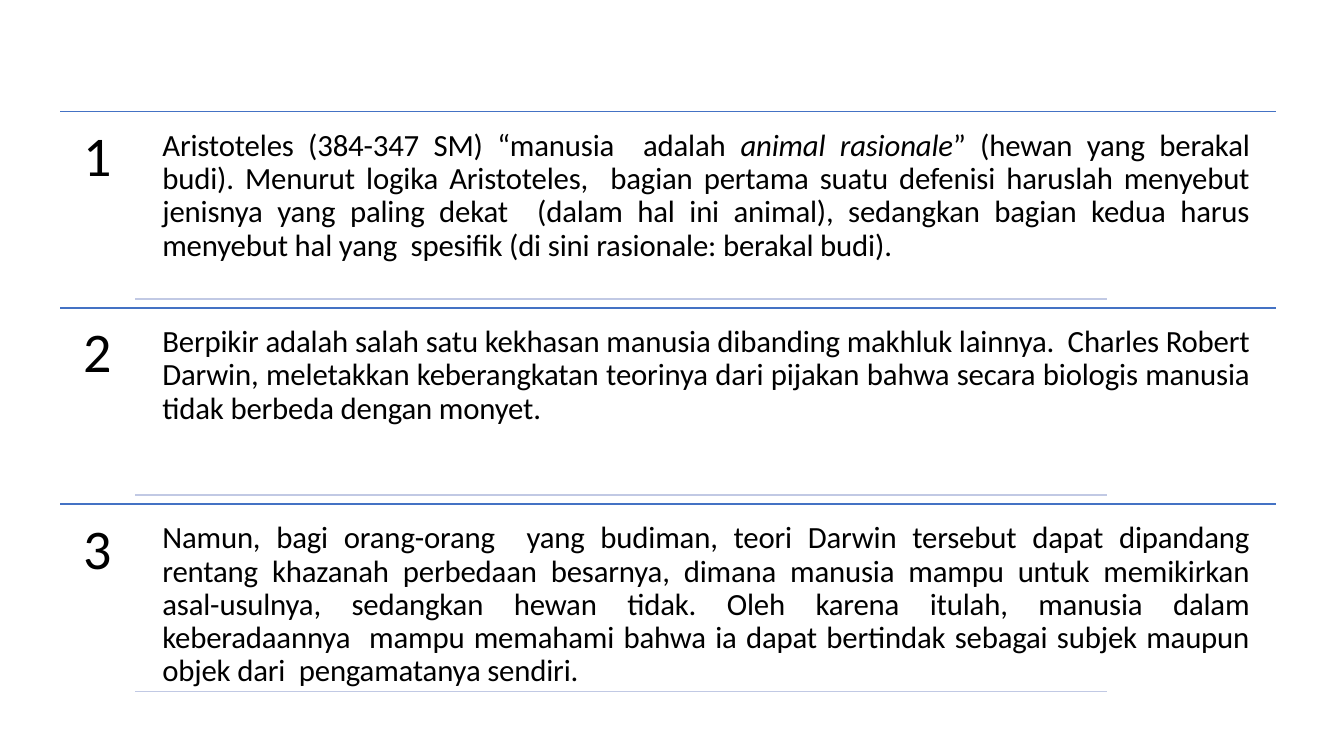
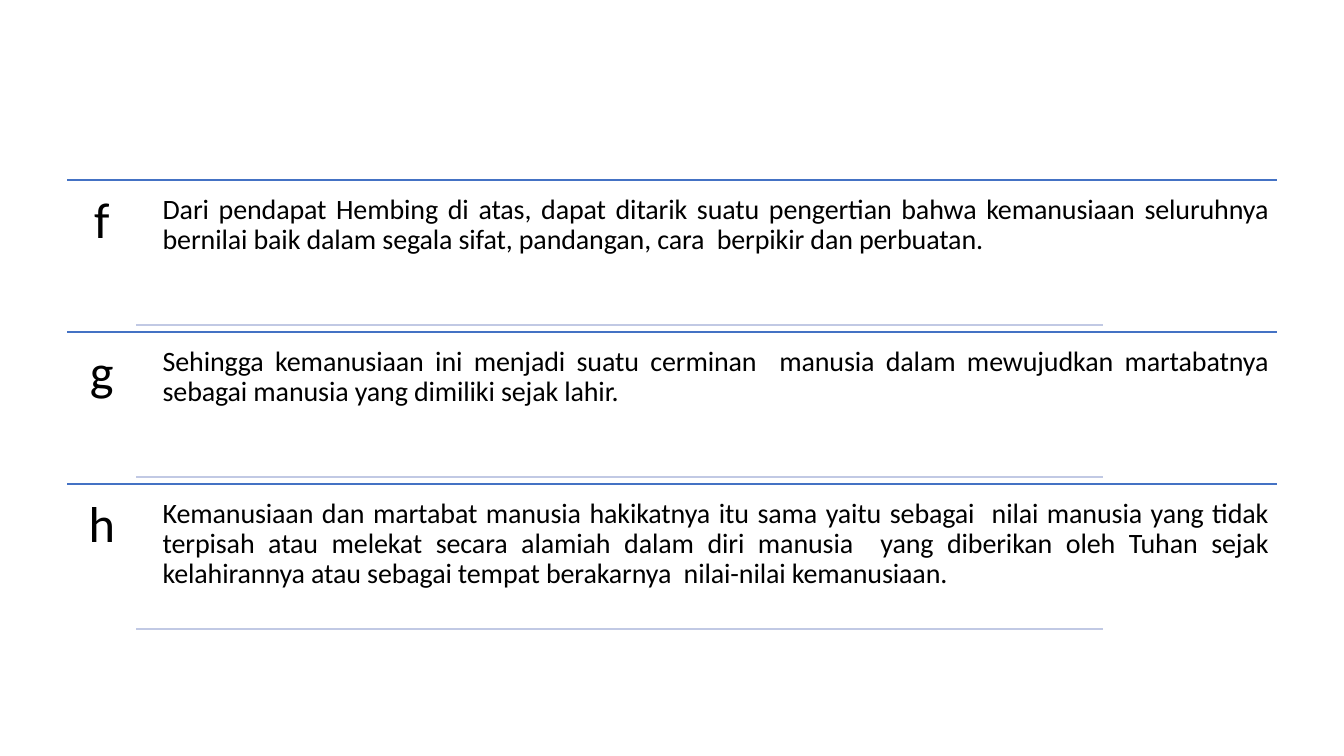
"""Build two slides of numbered statements separated by thin rules."""
import lxml.etree
import pptx
import pptx.dml.color
import pptx.enum.shapes
import pptx.enum.text
import pptx.oxml.ns
import pptx.util

Pt = pptx.util.Pt
qn = pptx.oxml.ns.qn
ALIGN = pptx.enum.text.PP_ALIGN

BLACK = pptx.dml.color.RGBColor(0x00, 0x00, 0x00)
BLUE = pptx.dml.color.RGBColor(0x44, 0x72, 0xC4)
PALE_BLUE = pptx.dml.color.RGBColor(0xC1, 0xC9, 0xE4)

LARGE_ROWS = {
    "left": 43.2, "right": 911.5, "top": 79.7, "pitch": 140.2,
    "label_width": 52.5, "label_size": 40, "label_inset": 12,
    "body_left": 109.4, "body_width": 790, "body_offset": 6.4,
    "body_height": 127.4, "body_size": 22, "body_inset": 6.6,
    "rule_left": 96.5, "rule_right": 790.6,
}
SMALL_ROWS = {
    "left": 48.2, "right": 912.2, "top": 128.7, "pitch": 108.5,
    "label_width": 49, "label_size": 36, "label_inset": 10.8,
    "body_left": 110.2, "body_width": 801.4, "body_offset": 4.9,
    "body_height": 98.6, "body_size": 20, "body_inset": 6,
    "rule_left": 97.2, "rule_right": 787.7,
}

THINKERS = {
    "1": "Aristoteles (384-347 SM) “manusia  adalah *animal rasionale*” (hewan yang "
         "berakal budi). Menurut logika Aristoteles,  bagian pertama suatu defenisi "
         "haruslah menyebut jenisnya yang paling dekat  (dalam hal ini animal), "
         "sedangkan bagian kedua harus menyebut hal yang  spesifik (di sini rasionale: "
         "berakal budi).",
    "2": "Berpikir adalah salah satu kekhasan manusia dibanding makhluk lainnya.  "
         "Charles Robert Darwin, meletakkan keberangkatan teorinya dari pijakan bahwa "
         "secara biologis manusia tidak berbeda dengan monyet.",
    "3": "Namun, bagi orang-orang  yang budiman, teori Darwin tersebut dapat dipandang "
         "rentang khazanah perbedaan besarnya, dimana manusia mampu untuk memikirkan "
         "asal-usulnya, sedangkan hewan tidak. Oleh karena itulah, manusia dalam "
         "keberadaannya  mampu memahami bahwa ia dapat bertindak sebagai subjek maupun "
         "objek dari  pengamatanya sendiri.",
}
HUMANITY = {
    "f": "Dari pendapat Hembing di atas, dapat ditarik suatu pengertian bahwa "
         "kemanusiaan seluruhnya bernilai baik dalam segala sifat, pandangan, cara  "
         "berpikir dan perbuatan.",
    "g": "Sehingga kemanusiaan ini menjadi suatu cerminan  manusia dalam mewujudkan "
         "martabatnya sebagai manusia yang dimiliki sejak lahir.",
    "h": "Kemanusiaan dan martabat manusia hakikatnya itu sama yaitu sebagai  nilai "
         "manusia yang tidak terpisah atau melekat secara alamiah dalam diri manusia  "
         "yang diberikan oleh Tuhan sejak kelahirannya atau sebagai tempat berakarnya  "
         "nilai-nilai kemanusiaan.",
}


def apply(target, values):
    """Set each named attribute of the target."""
    for name, value in values.items():
        setattr(target, name, value)


class StatementDeck:
    """Holds the shared style and the current slide."""

    font_name = "Calibri"
    line_spacing = 0.9
    rule_weight = 1
    letter_spacing = -0.1

    def __init__(self):
        """Start an empty widescreen deck."""
        self.deck = pptx.Presentation()
        apply(self.deck, {"slide_width": Pt(960), "slide_height": Pt(540)})
        self.page = None

    def add_page(self):
        """Add a blank slide and make it current."""
        self.page = self.deck.slides.add_slide(self.deck.slide_layouts[6])

    def add_rule(self, left, right, top, color):
        """Draw a horizontal rule."""
        rule = self.page.shapes.add_connector(
            pptx.enum.shapes.MSO_CONNECTOR.STRAIGHT, Pt(left), Pt(top), Pt(right), Pt(top))
        rule.line.width = Pt(self.rule_weight)
        rule.line.color.rgb = color
        lxml.etree.SubElement(rule.element.spPr, qn("a:effectLst"))

    def add_text(self, left, top, width, height, text, size, inset, alignment):
        """Write one paragraph, with parts between asterisks in italics."""
        box = self.page.shapes.add_textbox(Pt(left), Pt(top), Pt(width), Pt(height))
        frame = box.text_frame
        apply(frame, {
            "word_wrap": True,
            "margin_left": Pt(inset), "margin_right": Pt(inset),
            "margin_top": Pt(inset), "margin_bottom": Pt(inset),
        })
        para = frame.paragraphs[0]
        apply(para, {"alignment": alignment, "line_spacing": self.line_spacing})
        for index, part in enumerate(text.split("*")):
            span = para.add_run()
            span.text = part
            apply(span.font, {
                "name": self.font_name, "size": Pt(size), "italic": index % 2 == 1})
            span.font.color.rgb = BLACK
        return box

    def tighten(self, box):
        """Narrow the letter spacing of a text box."""
        for properties in box.element.iter(qn("a:rPr")):
            properties.set("spc", str(round(self.letter_spacing * 100)))

    def add_statement(self, label, body, top, rows):
        """Draw a label and its statement between two rules."""
        body_top = top + rows["body_offset"]
        self.add_rule(rows["left"], rows["right"], top, BLUE)
        self.add_text(rows["left"], top, rows["label_width"], rows["pitch"], label,
                      rows["label_size"], rows["label_inset"], ALIGN.CENTER)
        statement = self.add_text(
            rows["body_left"], body_top, rows["body_width"], rows["body_height"], body,
            rows["body_size"], rows["body_inset"], ALIGN.JUSTIFY)
        self.tighten(statement)
        self.add_rule(rows["rule_left"], rows["rule_right"],
                      body_top + rows["body_height"], PALE_BLUE)

    def add_statements(self, statements, rows):
        """Fill a new slide with evenly spaced statements."""
        self.add_page()
        for index, (label, body) in enumerate(statements.items()):
            self.add_statement(label, body, rows["top"] + index * rows["pitch"], rows)


def main():
    """Build and save the deck."""
    builder = StatementDeck()
    builder.add_statements(THINKERS, LARGE_ROWS)
    builder.add_statements(HUMANITY, SMALL_ROWS)
    builder.deck.save("out.pptx")


if __name__ == "__main__":
    main()
